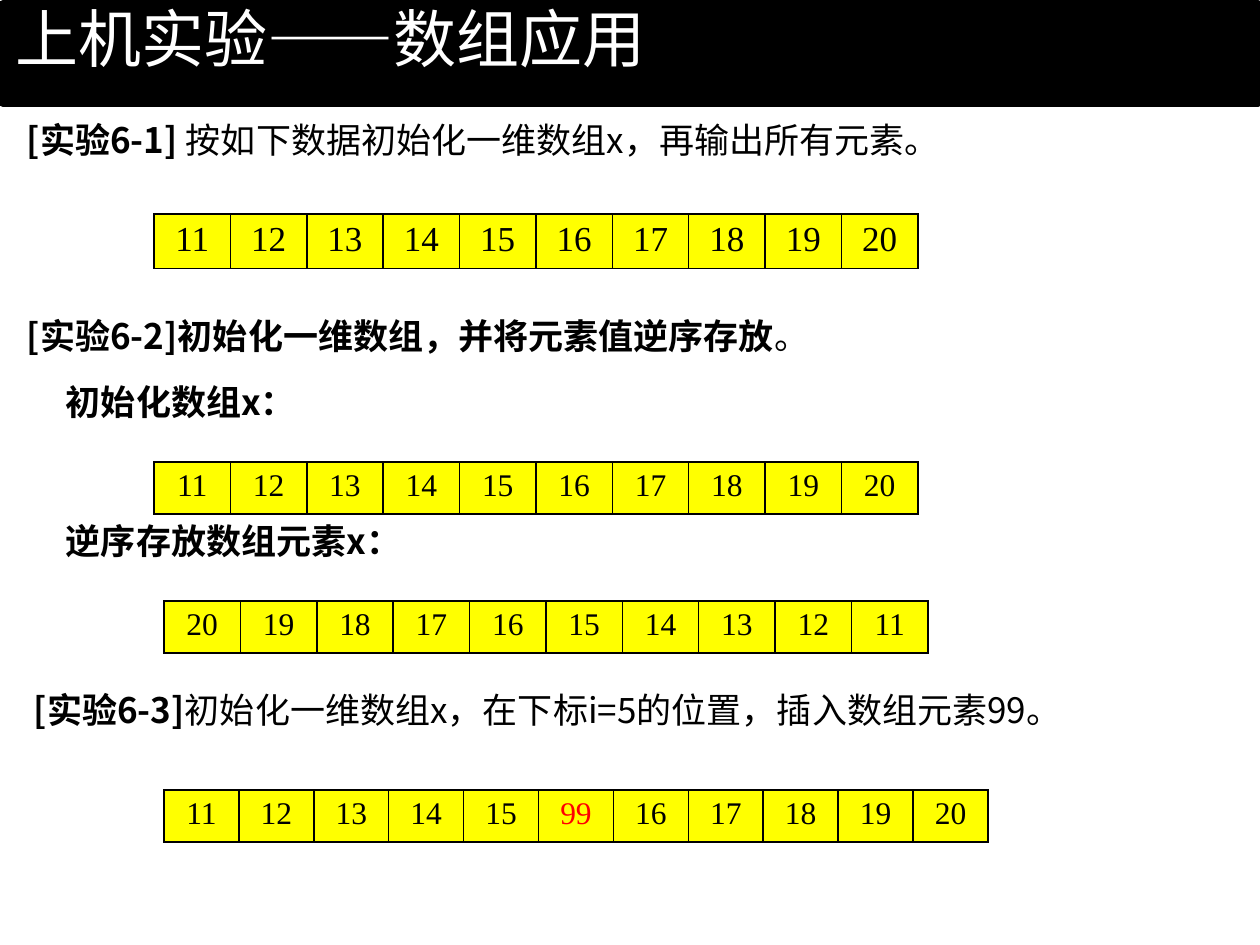
"""Build the lab exercise slide on one-dimensional arrays."""
from dataclasses import dataclass

from lxml.etree import SubElement
from pptx import Presentation
from pptx.dml.color import RGBColor
from pptx.enum.text import MSO_ANCHOR, MSO_AUTO_SIZE, PP_ALIGN
from pptx.oxml.ns import qn
from pptx.util import Emu, Pt

PX_PER_INCH = 126
SANS = "Noto Sans CJK SC"
SERIF = "Times New Roman"
COLORS = {"black": "000000", "white": "FFFFFF", "yellow": "FFFF00", "red": "FF0000"}


@dataclass(frozen=True)
class Heading:
    left: int
    top: int
    bold: str
    plain: str = ""


@dataclass(frozen=True)
class ArrayRow:
    left: int
    top: int
    width: int
    values: tuple[int, ...]
    size: int = 18
    inserted: int | None = None


ASCENDING = tuple(range(11, 21))
HEADINGS = (
    Heading(27, 115, "[实验6-1] ", "按如下数据初始化一维数组x，再输出所有元素。"),
    Heading(27, 311, "[实验6-2]初始化一维数组，并将元素值逆序存放", "。"),
    Heading(66, 377, "初始化数组x："),
    Heading(66, 515, "逆序存放数组元素x："),
    Heading(34, 684, "[实验6-3]", "初始化一维数组x，在下标i=5的位置，插入数组元素99。"),
)
ARRAYS = (
    ArrayRow(154, 214, 764, ASCENDING, size=20),
    ArrayRow(154, 462, 764, ASCENDING),
    ArrayRow(164, 601, 764, ASCENDING[::-1]),
    ArrayRow(164, 790, 824, ASCENDING[:5] + (99,) + ASCENDING[5:], inserted=99),
)


def px(length: int) -> Emu:
    """Turn slide pixels into EMU."""
    return Emu(round(length * 914400 / PX_PER_INCH))


def rgb(color: str) -> RGBColor:
    """Look up a named colour."""
    return RGBColor.from_string(COLORS[color])


def write(paragraph, text: str, *, size: int, font: str = SANS, color: str = "black",
          bold: bool = False, align: PP_ALIGN = PP_ALIGN.LEFT) -> None:
    """Append one formatted run to a paragraph."""
    paragraph.alignment = align
    run = paragraph.add_run()
    run.text = text
    run.font.size = Pt(size)
    run.font.bold = bold
    run.font.color.rgb = rgb(color)
    run.font.name = font
    SubElement(run.font._element, qn("a:ea"), typeface=font)


def draw_title(slide, text: str) -> None:
    """Format the title placeholder as a black banner."""
    banner = slide.shapes.title
    banner.left, banner.top, banner.width, banner.height = px(3), px(4), px(1255), px(99)
    banner.fill.solid()
    banner.fill.fore_color.rgb = rgb("black")
    banner.line.color.rgb = rgb("black")
    banner.line.width = Pt(4.5)
    frame = banner.text_frame
    frame.auto_size = MSO_AUTO_SIZE.NONE
    frame.vertical_anchor = MSO_ANCHOR.TOP
    frame.margin_top, frame.margin_bottom = px(4), 0
    frame.paragraphs[0].line_spacing = 0.9
    write(frame.paragraphs[0], text, size=36, color="white")


def draw_heading(slide, heading: Heading) -> None:
    """Draw one exercise line with its bold lead."""
    box = slide.shapes.add_textbox(px(heading.left), px(heading.top), px(1200), px(50))
    frame = box.text_frame
    frame.word_wrap = True
    frame.vertical_anchor = MSO_ANCHOR.MIDDLE
    frame.margin_left = frame.margin_right = frame.margin_top = frame.margin_bottom = 0
    write(frame.paragraphs[0], heading.bold, size=20, bold=True)
    if heading.plain:
        write(frame.paragraphs[0], heading.plain, size=20)


def add_borders(cell) -> None:
    """Give a cell a thin black line on every side."""
    properties = cell._tc.get_or_add_tcPr()
    for side in ("lnL", "lnR", "lnT", "lnB"):
        border = SubElement(properties, qn(f"a:{side}"), w=str(Pt(1)))
        fill = SubElement(border, qn("a:solidFill"))
        SubElement(fill, qn("a:srgbClr"), val=COLORS["black"])


def draw_array(slide, row: ArrayRow) -> None:
    """Draw an array as a one-row table."""
    count = len(row.values)
    table = slide.shapes.add_table(
        1, count, px(row.left), px(row.top), px(row.width), px(52)).table
    table.first_row = table.horz_banding = False
    for cell, value in zip(table.rows[0].cells, row.values):
        add_borders(cell)
        cell.fill.solid()
        cell.fill.fore_color.rgb = rgb("yellow")
        write(cell.text_frame.paragraphs[0], str(value), size=row.size, font=SERIF,
              color="red" if value == row.inserted else "black", align=PP_ALIGN.CENTER)


def main() -> None:
    """Assemble and save the slide."""
    deck = Presentation()
    deck.slide_width, deck.slide_height = px(1260), px(945)
    slide = deck.slides.add_slide(deck.slide_layouts[5])
    draw_title(slide, "上机实验——数组应用")
    for heading in HEADINGS:
        draw_heading(slide, heading)
    for row in ARRAYS:
        draw_array(slide, row)
    deck.save("out.pptx")


if __name__ == "__main__":
    main()
